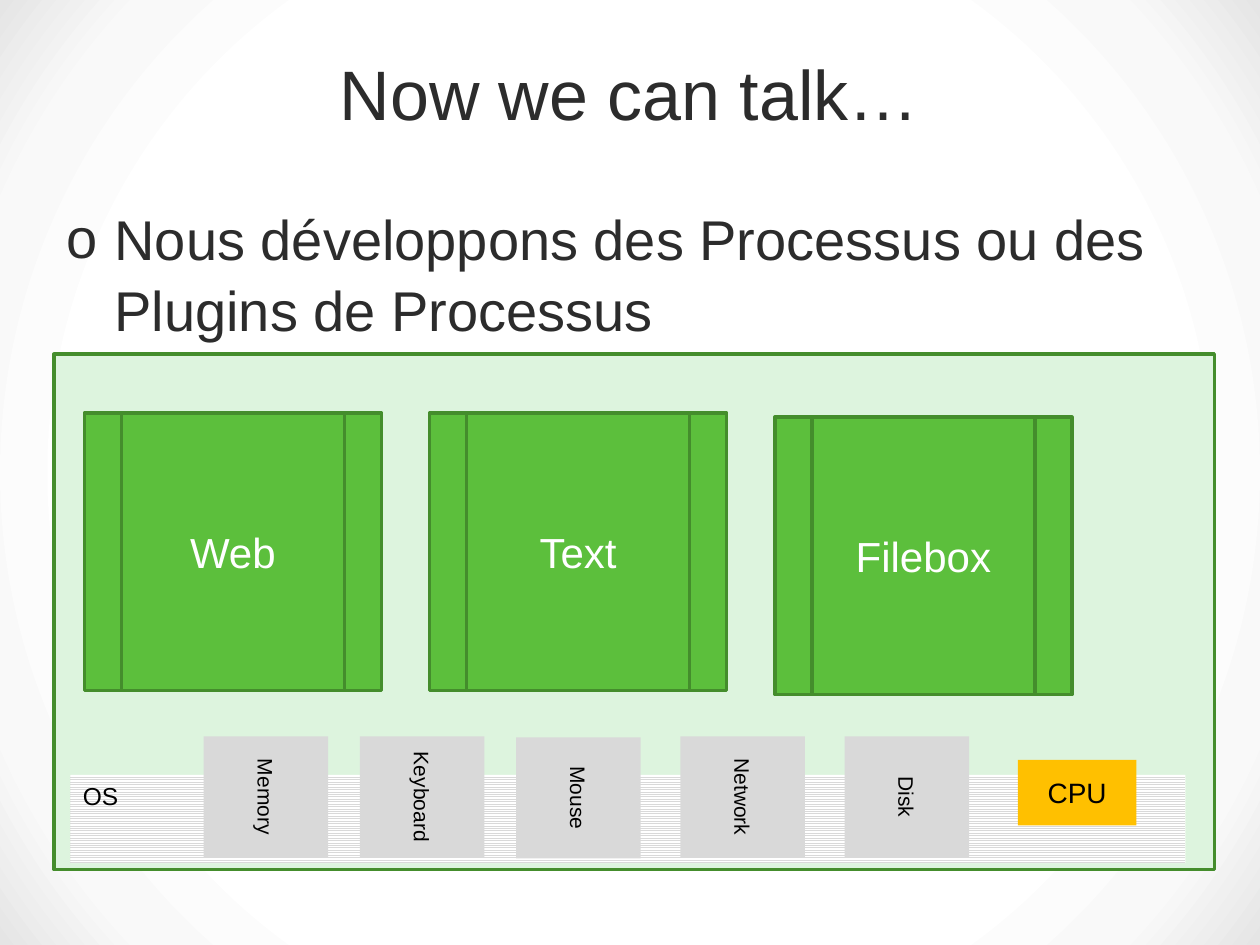
"""Build a slide showing processes and devices hosted by an operating system."""
import dataclasses

import pptx
import pptx.dml.color
import pptx.enum.dml
import pptx.enum.shapes
import pptx.enum.text
import pptx.oxml
import pptx.oxml.ns
import pptx.util
from pptx.util import Cm

RGB = pptx.dml.color.RGBColor.from_string
SHAPE = pptx.enum.shapes.MSO_SHAPE
ALIGN = pptx.enum.text.PP_ALIGN
ANCHOR = pptx.enum.text.MSO_ANCHOR


@dataclasses.dataclass(frozen=True)
class Theme:
    font: str = "Arial"
    ink: str = "2C2C2C"
    black: str = "000000"
    white: str = "FFFFFF"
    mint: str = "DDF4DE"
    green: str = "5CBF3C"
    dark_green: str = "448D2C"
    gray: str = "D9D9D9"
    amber: str = "FFC000"
    backdrop: tuple = ((0, "FFFFFF"), (68, "FFFFFF"), (86, "F9F9F9"), (100, "E5E5E5"))
    title_size: int = 40
    statement_size: int = 32
    process_size: int = 24
    cpu_size: int = 16
    os_size: int = 14
    device_size: int = 12


theme = Theme()


def write(shape, text, size, color=theme.black, align=ALIGN.CENTER,
          anchor=ANCHOR.MIDDLE, spacing=None):
    frame = shape.text_frame
    frame.word_wrap = True
    frame.auto_size = pptx.enum.text.MSO_AUTO_SIZE.NONE
    frame.vertical_anchor = anchor
    paragraph = frame.paragraphs[0]
    paragraph.alignment = align
    paragraph.line_spacing = spacing
    run = paragraph.add_run()
    run.text = text
    run.font.name = theme.font
    run.font.size = pptx.util.Pt(size)
    run.font.color.rgb = RGB(color)
    return paragraph


def add_block(preset, left, top, width, height, fill=None, line=None):
    block = slide.shapes.add_shape(preset, Cm(left), Cm(top), Cm(width), Cm(height))
    block.shadow.inherit = False
    if fill:
        block.fill.solid()
        block.fill.fore_color.rgb = RGB(fill)
    if line:
        block.line.color.rgb = RGB(line)
        block.line.width = pptx.util.Pt(2)
    else:
        block.line.fill.background()
    return block


deck = pptx.Presentation()
deck.slide_width, deck.slide_height = Cm(25.4), Cm(19.05)
slide = deck.slides.add_slide(deck.slide_layouts[5])

slide.background.fill.gradient()
gradient = slide.background._cSld.find(".//" + pptx.oxml.ns.qn("a:gradFill"))
stops = "".join(f'<a:gs pos="{position * 1000}"><a:srgbClr val="{color}"/></a:gs>'
                for position, color in theme.backdrop)
gradient.getparent().replace(gradient, pptx.oxml.parse_xml(
    f'<a:gradFill {pptx.oxml.ns.nsdecls("a")} rotWithShape="1"><a:gsLst>{stops}</a:gsLst>'
    '<a:path path="circle"><a:fillToRect l="50000" t="50000" r="50000" b="50000"/></a:path>'
    '</a:gradFill>'))

title = slide.shapes.title
title.left, title.top, title.width, title.height = Cm(1.09), Cm(0.53), Cm(23.19), Cm(2.51)
write(title, "Now we can talk…", theme.title_size, color=theme.ink,
      anchor=ANCHOR.TOP, spacing=pptx.util.Pt(58))

statement = slide.shapes.add_textbox(Cm(1.09), Cm(3.94), Cm(23.39), Cm(2.59))
bulleted = write(statement, "Nous développons des Processus ou des Plugins de Processus",
                 theme.statement_size, color=theme.ink, align=ALIGN.LEFT,
                 anchor=ANCHOR.TOP, spacing=1.05)
properties = bulleted._p.get_or_add_pPr()
properties.set("marL", str(Cm(0.97)))
properties.set("indent", str(-Cm(0.97)))
for bullet in (f'<a:buFont {pptx.oxml.ns.nsdecls("a")} typeface="{theme.font}"/>',
               f'<a:buChar {pptx.oxml.ns.nsdecls("a")} char="o"/>'):
    properties.append(pptx.oxml.parse_xml(bullet))

add_block(SHAPE.RECTANGLE, 1.09, 7.14, 23.39, 10.39, fill=theme.mint, line=theme.dark_green)

system = add_block(SHAPE.RECTANGLE, 1.42, 15.62, 22.48, 1.78)
system.fill.patterned()
system.fill.pattern = pptx.enum.dml.MSO_PATTERN.LIGHT_HORIZONTAL
system.fill.fore_color.rgb = RGB(theme.gray)
system.fill.back_color.rgb = RGB(theme.white)
write(system, "OS", theme.os_size, align=ALIGN.LEFT, anchor=ANCHOR.TOP)

for name, left, top in (("Memory", 4.14, 14.81), ("Keyboard", 7.29, 14.81),
                        ("Mouse", 10.44, 14.83), ("Network", 13.75, 14.81),
                        ("Disk", 17.06, 14.81)):
    device = add_block(SHAPE.RECTANGLE, left, top, 2.44, 2.51, fill=theme.gray)
    device.rotation = 90
    write(device, name, theme.device_size)

cpu = add_block(SHAPE.RECTANGLE, 20.52, 15.32, 2.39, 1.32, fill=theme.amber)
write(cpu, "CPU", theme.cpu_size)

for column, (name, top) in enumerate((("Web", 8.33), ("Text", 8.33), ("Filebox", 8.41))):
    process = add_block(SHAPE.FLOWCHART_PREDEFINED_PROCESS, 1.7 + column * 6.96, top,
                        5.99, 5.59, fill=theme.green, line=theme.dark_green)
    write(process, name, theme.process_size, color=theme.white)

deck.save("out.pptx")
